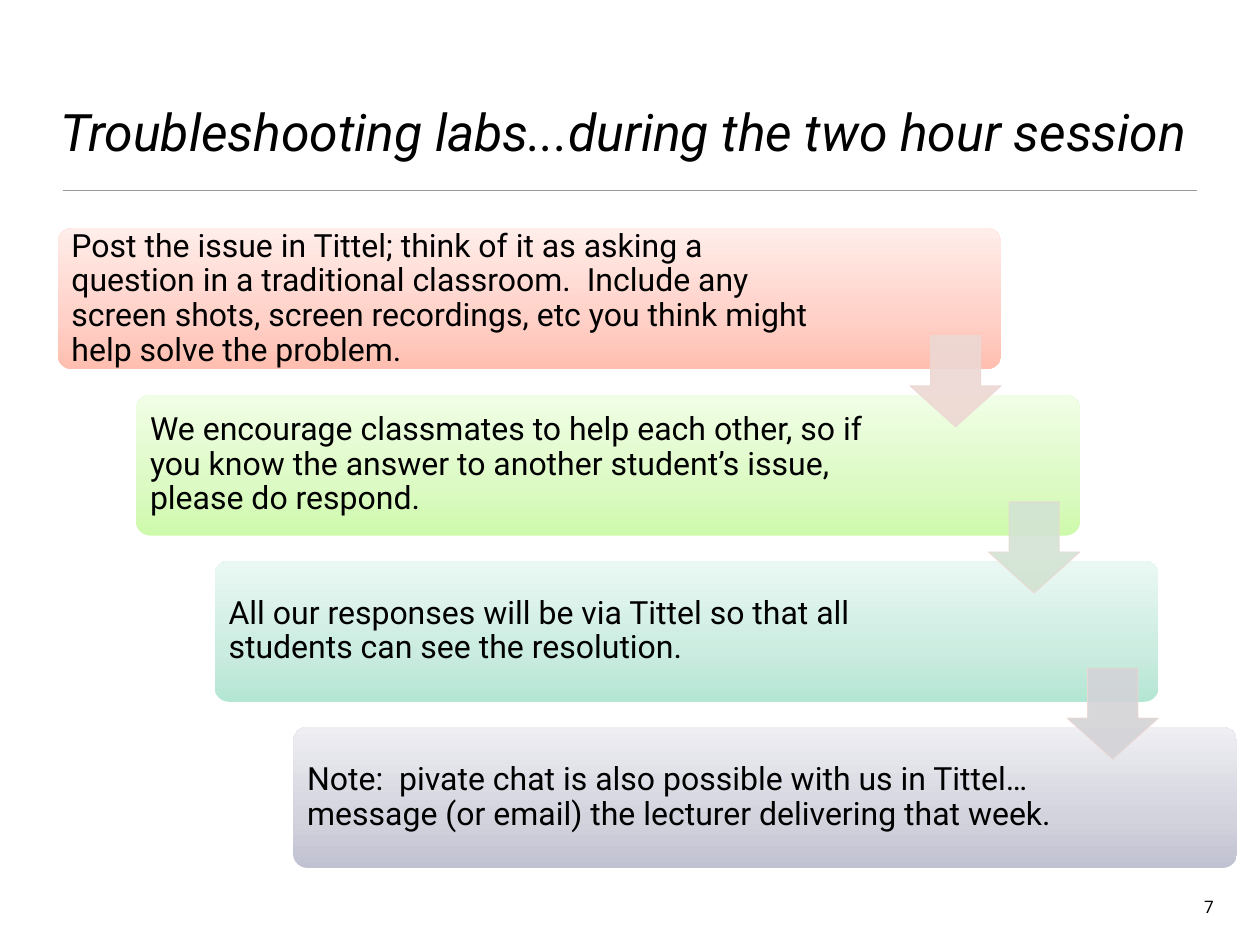
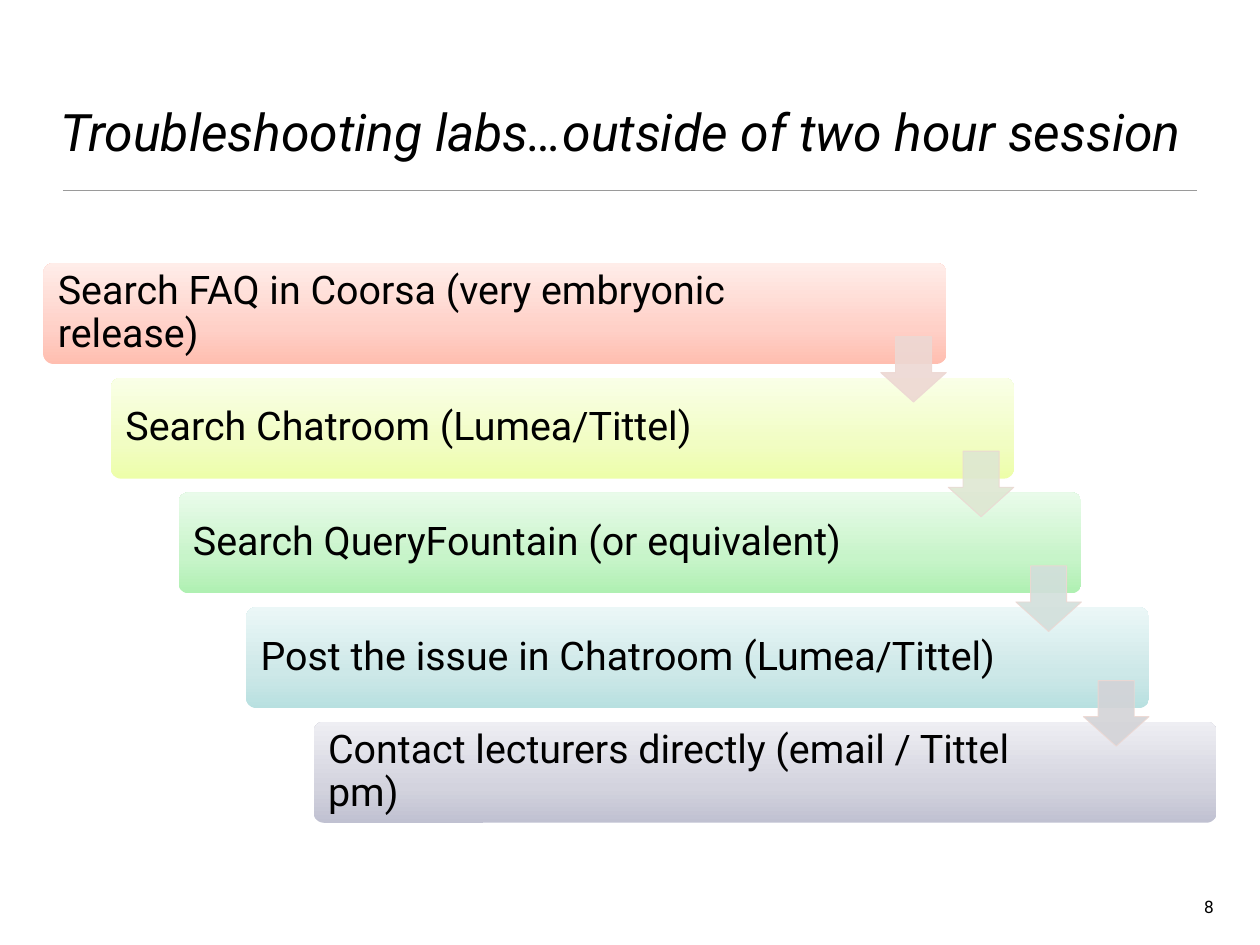
from copy import deepcopy

from lxml.etree import SubElement
from pptx import Presentation
from pptx.dml.color import RGBColor
from pptx.enum.shapes import MSO_CONNECTOR, MSO_SHAPE
from pptx.enum.text import MSO_ANCHOR, MSO_AUTO_SIZE, PP_ALIGN
from pptx.oxml.ns import qn
from pptx.util import Inches, Pt

COLORS = {"text": "000000", "rule": "9A9A9A", "arrow_line": "EDD8D3"}
BANDS = {
    "red": ("FFBEB0", "FFD0C7", "FFEDE9"),
    "yellow": ("EDFEA9", "F1FDC3", "FAFFE7"),
    "lime": ("CEFAAB", "DCFAC4", "F1FEE7"),
    "green": ("AFF0B2", "C7F4C9", "E9FBEA"),
    "mint": ("B4E6D4", "CBECE0", "EAF8F3"),
    "aqua": ("B8E0E0", "CDE8E8", "EBF7F7"),
    "grey": ("C0C1D1", "D3D3DE", "EEEEF3"),
}


def rgb(value):
    return RGBColor.from_string(value)


class Deck:
    font = "Roboto"

    def __init__(self):
        self.prs = Presentation()
        self.prs.slide_width, self.prs.slide_height = Inches(14.22), Inches(10.67)
        self.s = None

    def add_slide(self, title, number):
        self.s = self.prs.slides.add_slide(self.prs.slide_layouts[5])
        self.rule()
        self.title(title)
        self.page_number(number)

    def run(self, p, text, size, italic=False):
        r = p.add_run()
        r.text = text
        r.font.name, r.font.size = self.font, Pt(size)
        r.font.italic = italic
        r.font.color.rgb = rgb(COLORS["text"])

    def frame(self, tf, inset, anchor, wrap=True):
        tf.margin_left = tf.margin_right = Inches(inset)
        tf.margin_top = tf.margin_bottom = Inches(inset)
        tf.vertical_anchor, tf.word_wrap = anchor, wrap

    def rule(self):
        line = self.s.shapes.add_connector(
            MSO_CONNECTOR.STRAIGHT, Inches(0.71), Inches(2.15), Inches(13.51), Inches(2.15))
        line.line.color.rgb, line.line.width = rgb(COLORS["rule"]), Pt(1)
        SubElement(line.element.spPr, qn("a:effectLst"))

    def title(self, text):
        sp = self.s.shapes.title
        sp.left, sp.top = Inches(0.62), Inches(0.36)
        sp.width, sp.height = Inches(12.97), Inches(1.53)
        tf = sp.text_frame
        tf.auto_size = MSO_AUTO_SIZE.NONE
        self.frame(tf, 0.06, MSO_ANCHOR.BOTTOM)
        tf.paragraphs[0].alignment = PP_ALIGN.LEFT
        self.run(tf.paragraphs[0], text, 42, italic=True)

    def page_number(self, number):
        sp = self.s.shapes.add_textbox(Inches(13.42), Inches(10.06), Inches(0.34), Inches(0.33))
        tf = sp.text_frame
        self.frame(tf, 0.06, MSO_ANCHOR.TOP, wrap=False)
        tf.paragraphs[0].alignment = PP_ALIGN.RIGHT
        self.run(tf.paragraphs[0], str(number), 14)

    def band(self, x, y, width, height, text, stops, size, inset, right_inset):
        sp = self.s.shapes.add_shape(
            MSO_SHAPE.ROUNDED_RECTANGLE, Inches(x), Inches(y), Inches(width), Inches(height))
        sp.adjustments[0] = 0.1
        sp.shadow.inherit = False
        sp.line.fill.background()
        sp.fill.gradient()
        sp.fill.gradient_angle = 90
        gs_list = sp.element.spPr.find(".//" + qn("a:gsLst"))
        gs_list.insert(1, deepcopy(gs_list[0]))
        for stop, position, color in zip(sp.fill.gradient_stops, (0, 0.35, 1), stops):
            stop.position, stop.color.rgb = position, rgb(color)
        tf = sp.text_frame
        self.frame(tf, inset, MSO_ANCHOR.MIDDLE)
        tf.margin_right = Inches(right_inset)
        p = tf.paragraphs[0]
        p.alignment, p.line_spacing = PP_ALIGN.LEFT, 0.9
        self.run(p, text, size)

    def arrow(self, x, y, side, color):
        sp = self.s.shapes.add_shape(
            MSO_SHAPE.DOWN_ARROW, Inches(x), Inches(y), Inches(side), Inches(side))
        sp.adjustments[0], sp.adjustments[1] = 0.55, 0.45
        sp.shadow.inherit = False
        sp.fill.solid()
        sp.fill.fore_color.rgb = rgb(color)
        sp.line.color.rgb, sp.line.width = rgb(COLORS["arrow_line"]), Pt(0.75)
        for clr in sp.element.spPr.iter(qn("a:srgbClr")):
            SubElement(clr, qn("a:alpha"), val="90000")

    def staircase(self, steps, arrows, first, last, band_size, arrow_side, arrow_drop, **text_style):
        gaps = len(steps) - 1
        dx, dy = ((end - start) / gaps for start, end in zip(first, last))
        corners = [(first[0] + i * dx, first[1] + i * dy) for i in range(len(steps))]
        for (x, y), (color, text) in zip(corners, steps):
            self.band(x, y, *band_size, text, BANDS[color], **text_style)
        for (x, y), color in zip(corners, arrows):
            self.arrow(x + band_size[0] - arrow_side, y + arrow_drop, arrow_side, color)


def main():
    deck = Deck()

    deck.add_slide("Troubleshooting labs...during the two hour session", 7)
    deck.staircase(
        [
            ("red", "Post the issue in Tittel; think of it as asking a question in a traditional "
                    "classroom.  Include any screen shots, screen recordings, etc you think might "
                    "help solve the problem."),
            ("lime", "We encourage classmates to help each other, so if you know the answer to "
                     "another student’s issue, please do respond."),
            ("mint", "All our responses will be via Tittel so that all students can see the "
                     "resolution."),
            ("grey", "Note:  pivate chat is also possible with us in Tittel…message (or email) "
                     "the lecturer delivering that week."),
        ],
        ["EDD8D3", "D2E3D3", "D3D3D7"],
        first=(0.65, 2.58), last=(3.31, 8.21), band_size=(10.65, 1.59),
        arrow_side=1.03, arrow_drop=1.21, size=26, inset=0.11, right_inset=2.02)

    deck.add_slide("Troubleshooting labs…outside of two hour session", 8)
    deck.staircase(
        [
            ("red", "Search FAQ in Coorsa (very embryonic release)"),
            ("yellow", "Search Chatroom (Lumea/Tittel)"),
            ("green", "Search QueryFountain (or equivalent)"),
            ("aqua", "Post the issue in Chatroom (Lumea/Tittel)"),
            ("grey", "Contact lecturers directly (email / Tittel pm)"),
        ],
        ["EDD8D3", "DEE7D2", "D2DFDB", "D3D3D7"],
        first=(0.49, 2.97), last=(3.54, 8.15), band_size=(10.19, 1.14),
        arrow_side=0.74, arrow_drop=0.83, size=32, inset=0.13, right_inset=1.62)

    deck.prs.save("out.pptx")


if __name__ == "__main__":
    main()
